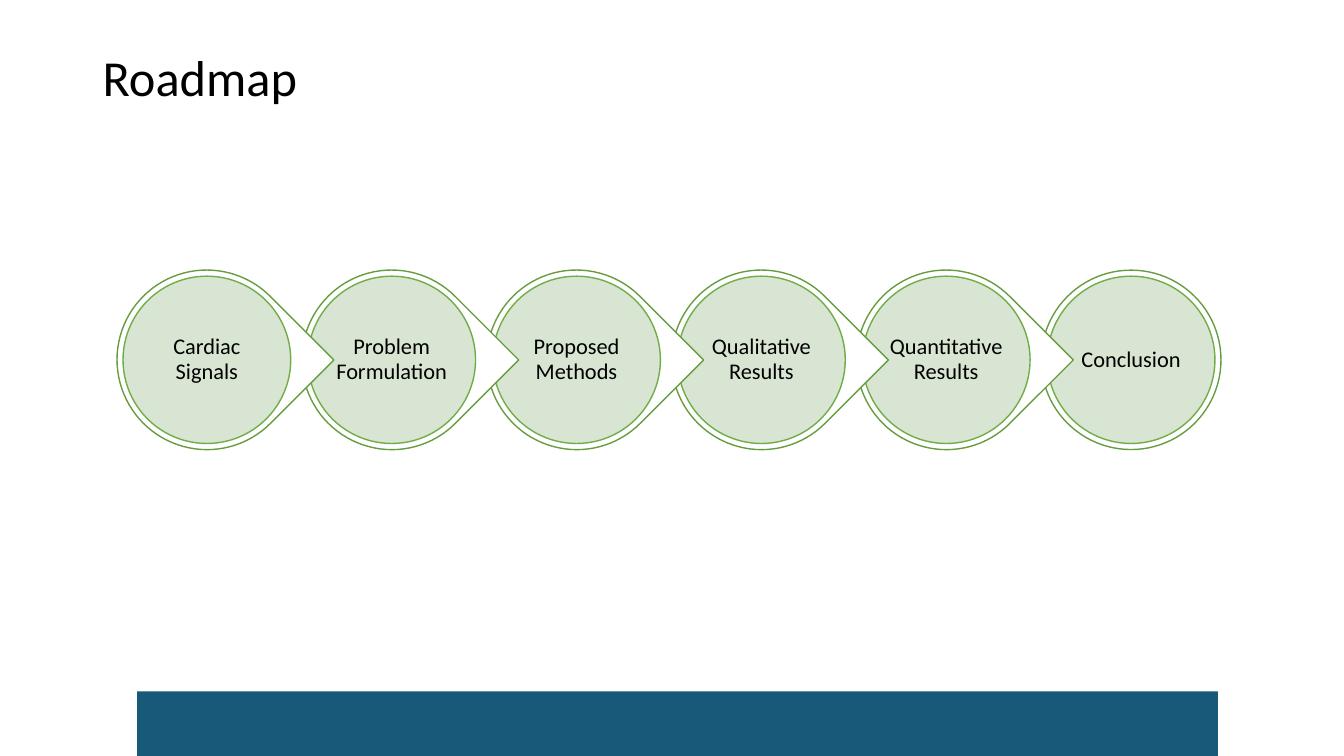
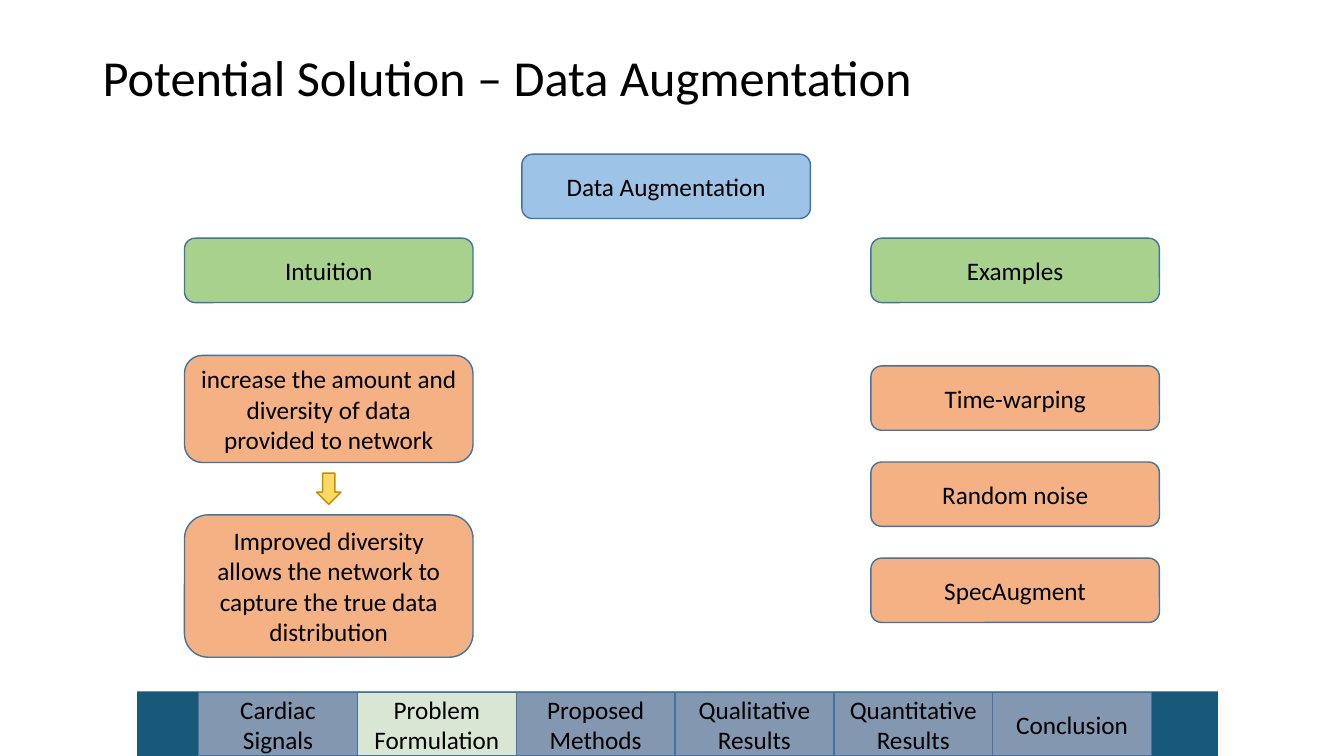
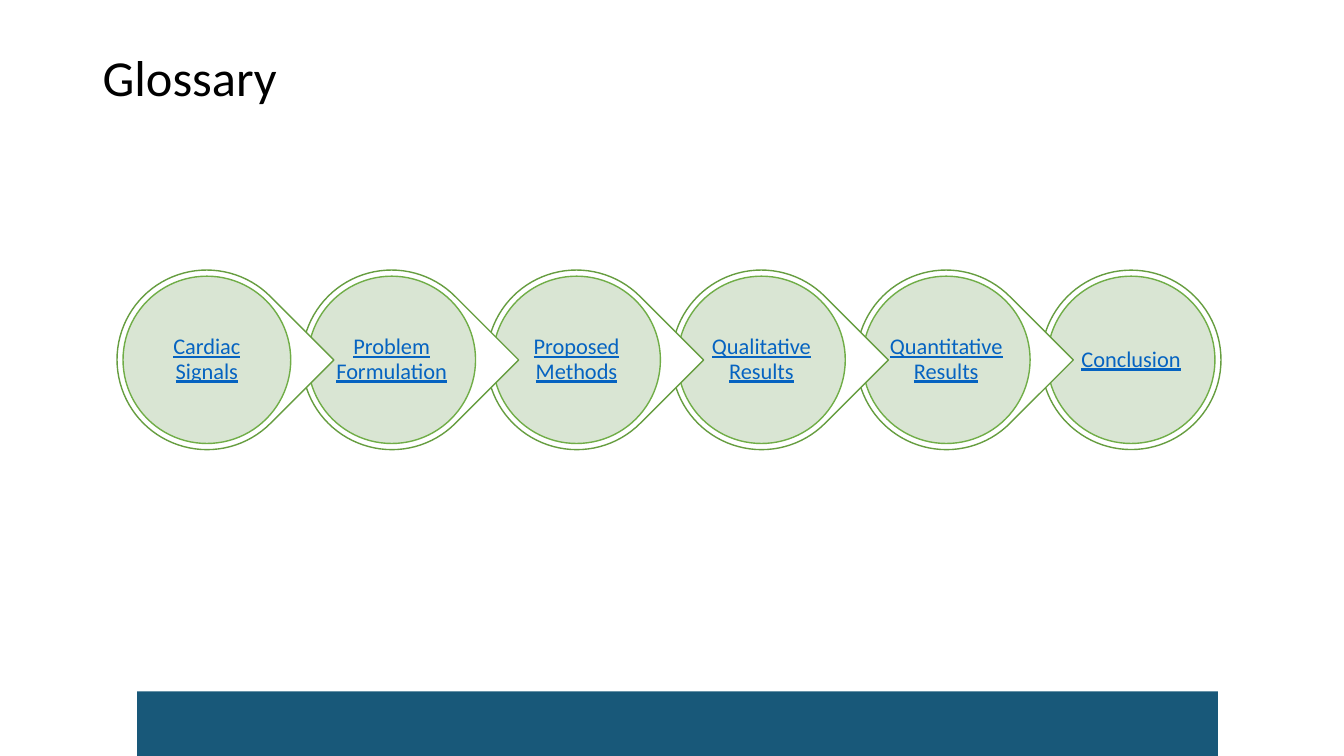
from dataclasses import dataclass

from lxml import etree
from pptx import Presentation
from pptx.dml.color import RGBColor
from pptx.enum.shapes import MSO_SHAPE
from pptx.enum.text import MSO_ANCHOR, PP_ALIGN
from pptx.oxml.ns import qn
from pptx.util import Inches, Pt

RECT, ROUNDED = MSO_SHAPE.RECTANGLE, MSO_SHAPE.ROUNDED_RECTANGLE
CIRCLE, TEARDROP = MSO_SHAPE.OVAL, MSO_SHAPE.TEAR
DOWN_ARROW = MSO_SHAPE.DOWN_ARROW
LEFT, CENTER, MIDDLE = PP_ALIGN.LEFT, PP_ALIGN.CENTER, MSO_ANCHOR.MIDDLE

FONT = "Calibri"
COLORS = {
    "text": "000000", "link": "0563C1", "paper": "FFFFFF",
    "band": "185879", "outline": "43739E",
    "step": "8497B0", "current step": "D9E6D4",
    "station": "D5E3CF", "station line": "70AD47", "drop line": "669D40",
    "topic": "9DC3E6", "heading": "A9D18E", "detail": "F4B183",
    "arrow": "FFD966", "arrow line": "BF9000",
}
SECTIONS = ["Cardiac Signals", "Problem Formulation", "Proposed Methods",
            "Qualitative Results", "Quantitative Results", "Conclusion"]


@dataclass
class Box:
    """A region in inches that can be divided into smaller regions."""
    x: float
    y: float
    w: float
    h: float

    def share(self, x, y, w, h):
        """Region given as shares of this one."""
        return Box(self.x + x * self.w, self.y + y * self.h,
                   w * self.w, h * self.h)

    def columns(self, count, gap=0):
        width = (self.w - gap * (count - 1)) / count
        return [Box(self.x + i * (width + gap), self.y, width, self.h)
                for i in range(count)]

    def inset(self, margin):
        return Box(self.x + margin, self.y + margin,
                   self.w - 2 * margin, self.h - 2 * margin)

    def emu(self):
        return [Inches(v) for v in (self.x, self.y, self.w, self.h)]


PAGE = Box(0, 0, 13.33, 7.5)
TITLE = Box(0.92, 0.4, 11.5, 0.79)
BAND = Box(1.36, 6.86, 10.72, 0.64)
STEPS = Box(1.97, 6.87, 9.45, 0.63)
ROADMAP = Box(1.16, 2.68, 10.95, 1.78)
TREE = Box(1.83, 1.53, 9.67, 4.99)


def color(name):
    return RGBColor.from_string(COLORS[name])


def write(shape, text, size, ink="text", align=CENTER, spacing=None,
          underline=None, margin=None):
    frame = shape.text_frame
    frame.word_wrap = True
    frame.vertical_anchor = MIDDLE
    if margin is not None:
        frame.margin_left = frame.margin_right = Inches(margin)
        frame.margin_top = frame.margin_bottom = Inches(margin)
    paragraph = frame.paragraphs[0]
    paragraph.alignment = align
    paragraph.line_spacing = spacing
    run = paragraph.add_run()
    run.text = text
    run.font.name, run.font.size = FONT, Pt(size)
    run.font.color.rgb = color(ink)
    run.font.underline = underline


def draw(slide, kind, box, fill, line=None, opacity=None):
    shape = slide.shapes.add_shape(kind, *box.emu())
    shape.shadow.inherit = False
    shape.fill.solid()
    shape.fill.fore_color.rgb = color(fill)
    if opacity:
        tint = shape.element.spPr.find(qn("a:solidFill"))[0]
        etree.SubElement(tint, qn("a:alpha"), val=str(opacity * 1000))
    if line:
        shape.line.color.rgb = color(line)
        shape.line.width = Pt(1)
    else:
        shape.line.fill.background()
    return shape


def new_slide(deck, title):
    """Slide with the shared band and title."""
    slide = deck.slides.add_slide(deck.slide_layouts[6])
    draw(slide, RECT, BAND, "band")
    heading = slide.shapes.add_textbox(*TITLE.emu())
    write(heading, title, 36, align=LEFT, spacing=0.9)
    return slide


def section_bar(slide, box, current):
    for cell, section in zip(box.columns(len(SECTIONS)), SECTIONS):
        fill = "current step" if section == current else "step"
        write(draw(slide, RECT, cell, fill, "outline"), section, 18)


def section_chain(slide, box, ink, underline):
    """Stations from last to first, so each drop points over the next one."""
    stations = list(zip(box.columns(len(SECTIONS), 0.05), SECTIONS))
    for cell, section in reversed(stations):
        last = section == SECTIONS[-1]
        drop = draw(slide, CIRCLE if last else TEARDROP, cell,
                    "paper", "drop line")
        drop.rotation = 0 if last else 45
        station = draw(slide, CIRCLE, cell.inset(0.06),
                       "station", "station line", opacity=90)
        write(station, section, 16, ink, spacing=0.9,
              underline=underline, margin=0)


def augmentation_tree(slide, box):
    card_w, card_h = 0.296, 0.128
    intuition_x, topic_x, examples_x = 0, 0.346, 1 - card_w
    heading_y = 0.167
    cards = [
        ("Data Augmentation", "topic", topic_x, 0, card_h),
        ("Intuition", "heading", intuition_x, heading_y, card_h),
        ("Examples", "heading", examples_x, heading_y, card_h),
        ("increase the amount and diversity of data provided to network",
         "detail", intuition_x, 0.4, 0.213),
        ("Improved diversity allows the network to capture the true data "
         "distribution", "detail", intuition_x, 0.717, 0.283),
    ]
    examples = ["Time-warping", "Random noise", "SpecAugment"]
    cards += [(example, "detail", examples_x, 0.421 + 0.191 * row, card_h)
              for row, example in enumerate(examples)]
    for text, fill, x, y, height in cards:
        card = draw(slide, ROUNDED, box.share(x, y, card_w, height),
                    fill, "outline")
        write(card, text, 18)

    # Arrow between the two intuition cards
    arrow_w = 0.025
    draw(slide, DOWN_ARROW,
         box.share(intuition_x + (card_w - arrow_w) / 2, 0.634,
                   arrow_w, 0.062),
         "arrow", "arrow line")


def chain_slide(deck, title, ink="text", underline=None):
    section_chain(new_slide(deck, title), ROADMAP, ink, underline)


def augmentation_slide(deck):
    slide = new_slide(deck, "Potential Solution – Data Augmentation")
    augmentation_tree(slide, TREE)
    section_bar(slide, STEPS, "Problem Formulation")


def main():
    deck = Presentation()
    deck.slide_width, deck.slide_height = Inches(PAGE.w), Inches(PAGE.h)
    chain_slide(deck, "Roadmap")
    augmentation_slide(deck)
    chain_slide(deck, "Glossary", "link", True)
    deck.save("out.pptx")


if __name__ == "__main__":
    main()
